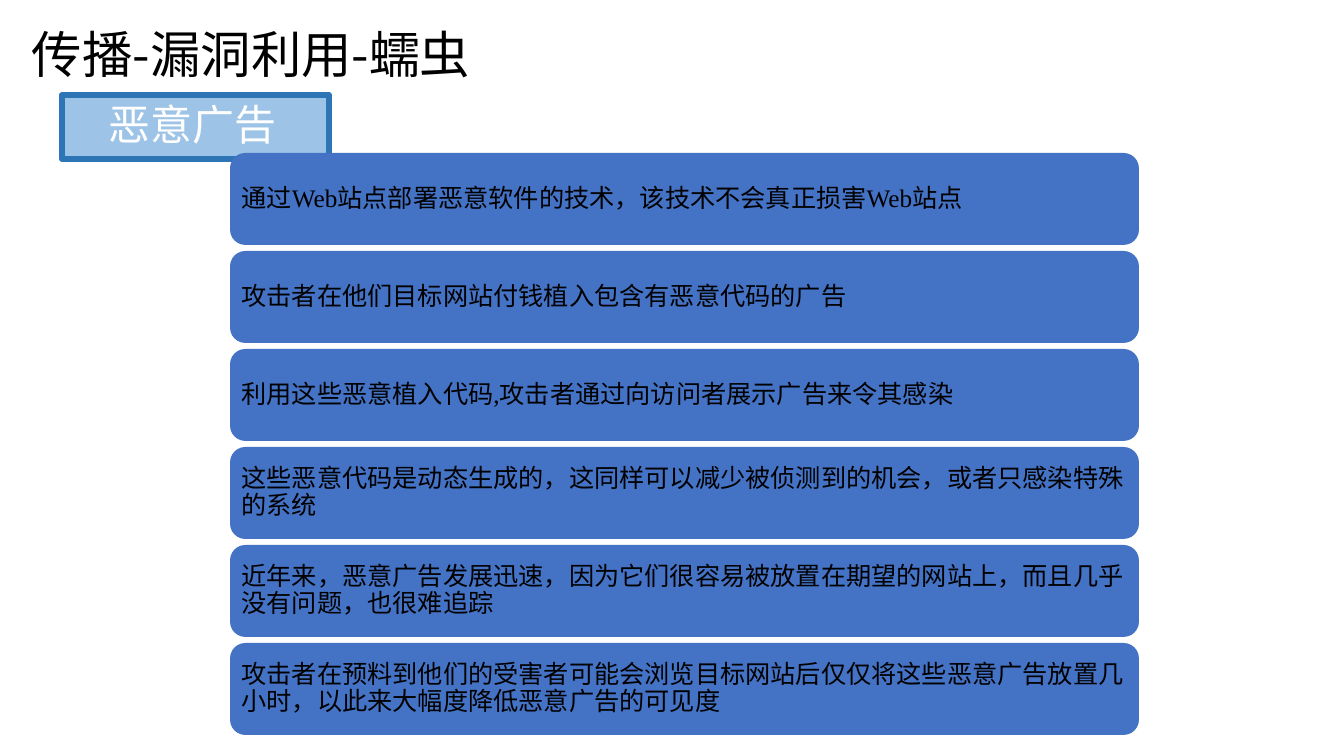
"""Build the malvertising slide: a title, a topic label and six stacked points."""
from dataclasses import dataclass

from lxml.etree import SubElement
from pptx import Presentation
from pptx.dml.color import RGBColor
from pptx.enum.shapes import MSO_SHAPE
from pptx.enum.text import MSO_ANCHOR, PP_ALIGN
from pptx.oxml.ns import qn
from pptx.util import Emu, Pt

EMU_PER_PX = 914400 / 100.8


def px(n):
    return Emu(round(n * EMU_PER_PX))


@dataclass(frozen=True)
class Theme:
    black: str = "000000"
    white: str = "FFFFFF"
    label_fill: str = "9DC3E6"
    label_line: str = "2E75B6"
    point_fill: str = "4472C4"
    title_size: int = 36
    label_size: int = 30
    point_size: int = 18
    line_width: float = 4.33
    cjk: str = "Noto Sans CJK SC"
    latin: str = "Times New Roman"


class Deck:
    def __init__(self, theme):
        self.theme = theme
        self.prs = Presentation()
        self.prs.slide_width, self.prs.slide_height = px(1344), px(756)
        self.s = self.prs.slides.add_slide(self.prs.slide_layouts[6])

    def put_text(self, sp, text, size, color, latin, insets, spacing=None):
        tf = sp.text_frame
        side, edge = map(px, insets)
        frame = {"word_wrap": True, "vertical_anchor": MSO_ANCHOR.MIDDLE,
                 "margin_left": side, "margin_right": side,
                 "margin_top": edge, "margin_bottom": edge}
        for name, value in frame.items():
            setattr(tf, name, value)
        p = tf.paragraphs[0]
        p.alignment = PP_ALIGN.LEFT
        if spacing:
            p.line_spacing = spacing
        r = p.add_run()
        r.text = text
        for name, value in {"size": Pt(size), "name": latin}.items():
            setattr(r.font, name, value)
        r.font.color.rgb = RGBColor.from_string(color)
        SubElement(r._r.get_or_add_rPr(), qn("a:ea"), typeface=self.theme.cjk)

    def shape(self, kind, box, fill):
        sp = self.s.shapes.add_shape(kind, *map(px, box))
        sp.shadow.inherit = False
        sp.fill.solid()
        sp.fill.fore_color.rgb = RGBColor.from_string(fill)
        return sp

    def title(self, text, box):
        t = self.theme
        sp = self.s.shapes.add_textbox(*map(px, box))
        self.put_text(sp, text, t.title_size, t.black, t.cjk, (11, 6))

    def label(self, text, box):
        t = self.theme
        sp = self.shape(MSO_SHAPE.RECTANGLE, box, t.label_fill)
        sp.line.color.rgb = RGBColor.from_string(t.label_line)
        sp.line.width = Pt(t.line_width)
        SubElement(sp._element.spPr.find(qn("a:ln")), qn("a:round"))
        self.put_text(sp, text, t.label_size, t.white, t.cjk, (47, 0), 0.9)

    def point(self, text, box):
        t = self.theme
        sp = self.shape(MSO_SHAPE.ROUNDED_RECTANGLE, box, t.point_fill)
        sp.line.fill.background()
        self.put_text(sp, text, t.point_size, t.black, t.latin, (7, 7), 0.9)


POINTS = [
    "通过Web站点部署恶意软件的技术，该技术不会真正损害Web站点",
    "攻击者在他们目标网站付钱植入包含有恶意代码的广告",
    "利用这些恶意植入代码,攻击者通过向访问者展示广告来令其感染",
    "这些恶意代码是动态生成的，这同样可以减少被侦测到的机会，或者只感染特殊的系统",
    "近年来，恶意广告发展迅速，因为它们很容易被放置在期望的网站上，而且几乎没有问题，也很难追踪",
    "攻击者在预料到他们的受害者可能会浏览目标网站后仅仅将这些恶意广告放置几小时，以此来大幅度降低恶意广告的可见度",
]


def main():
    deck = Deck(Theme())
    deck.title("传播-漏洞利用-蠕虫", (21, 0, 596, 107))
    deck.label("恶意广告", (62, 95, 267, 64))
    for i, text in enumerate(POINTS):
        deck.point(text, (230, 153 + 98 * i, 909, 92))
    deck.prs.save("out.pptx")


if __name__ == "__main__":
    main()
